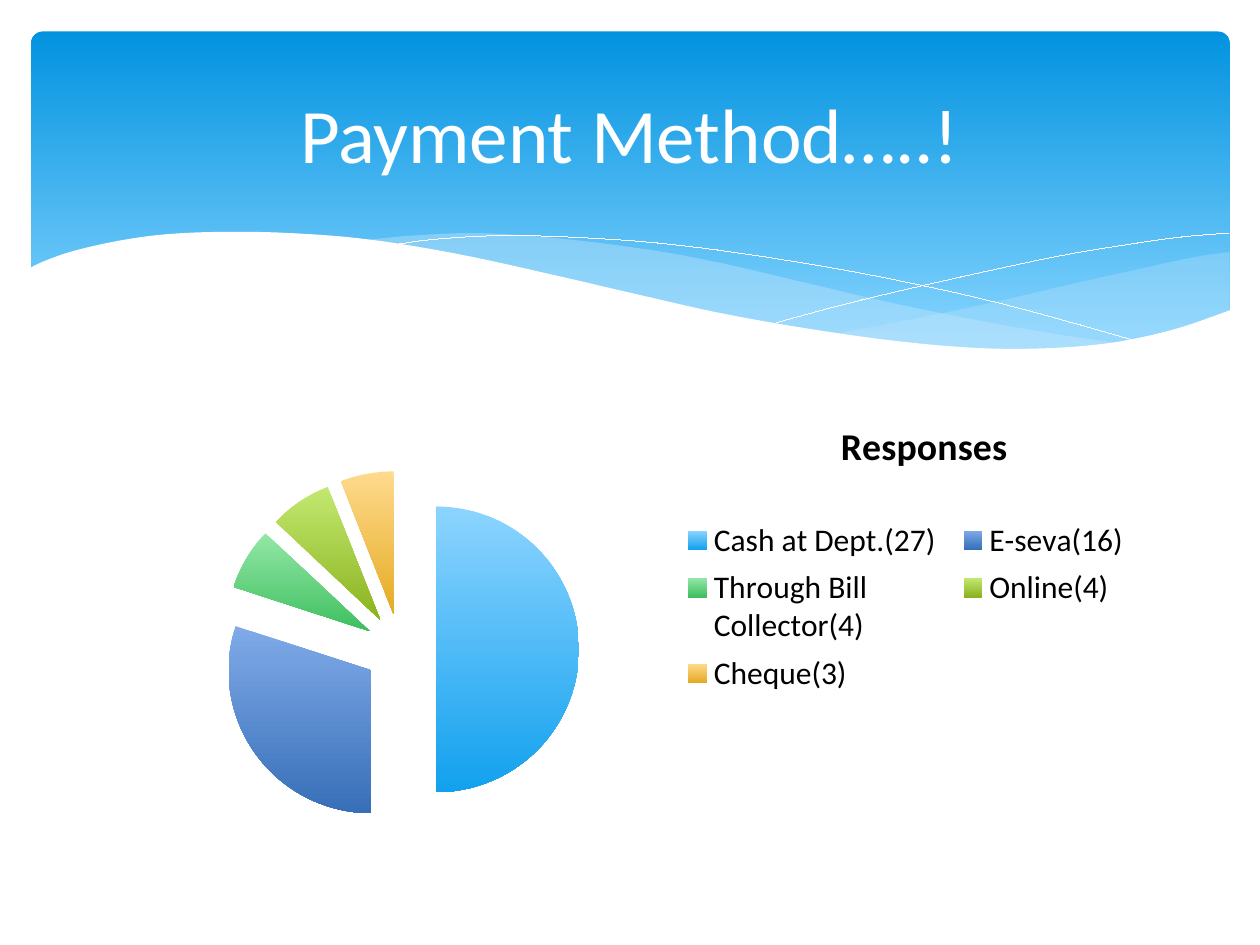
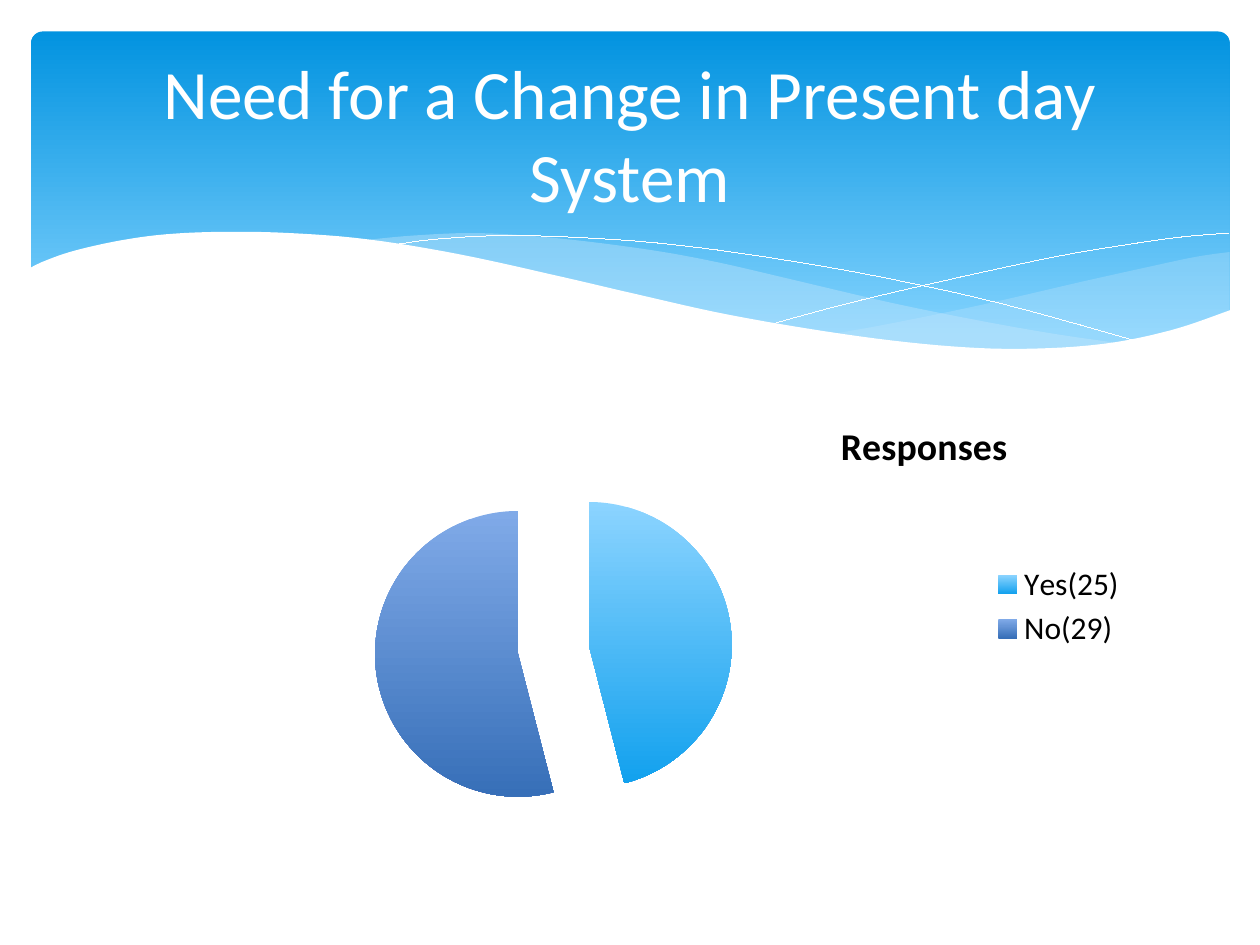
from lxml import etree
from pptx import Presentation
from pptx.chart.data import CategoryChartData
from pptx.dml.color import RGBColor
from pptx.enum.chart import XL_CHART_TYPE, XL_LEGEND_POSITION
from pptx.enum.shapes import MSO_SHAPE
from pptx.enum.text import MSO_ANCHOR, MSO_AUTO_SIZE, PP_ALIGN
from pptx.oxml.ns import qn
from pptx.util import Pt

PIE = XL_CHART_TYPE.PIE
LEGEND_RIGHT = XL_LEGEND_POSITION.RIGHT
ROUNDED = MSO_SHAPE.ROUNDED_RECTANGLE
MIDDLE = MSO_ANCHOR.MIDDLE
NO_AUTOFIT = MSO_AUTO_SIZE.NONE
CENTER = PP_ALIGN.CENTER

FONT = "Calibri"
WHITE = RGBColor(0xFF, 0xFF, 0xFF)
BLACK = RGBColor(0x00, 0x00, 0x00)
BAND_TOP = RGBColor(0x02, 0x93, 0xE0)
BAND_BOTTOM = RGBColor(0x83, 0xD3, 0xFE)
WAVE = RGBColor(0xC6, 0xE7, 0xFC)
SLICES = [
    (RGBColor(0x8C, 0xD4, 0xFF), RGBColor(0x12, 0xA1, 0xEE)),
    (RGBColor(0x80, 0xAA, 0xE8), RGBColor(0x37, 0x6F, 0xB8)),
    (RGBColor(0x93, 0xE7, 0xA6), RGBColor(0x3F, 0xBF, 0x60)),
    (RGBColor(0xC3, 0xE8, 0x71), RGBColor(0x8B, 0xB3, 0x1F)),
    (RGBColor(0xFF, 0xDA, 0x8E), RGBColor(0xE4, 0xAB, 0x22)),
]

RIGHT_WAVE_TOP = [(702.7, 144), (682.6, 146.9), (652.3, 153.4), (619.9, 160.6),
                  (560.9, 174.2), (508.3, 185), (475.9, 190.8)]
RIGHT_WAVE_BOTTOM = [(475.9, 190.8), (507.6, 195.1), (545, 198.7), (578.2, 200.2),
                     (614.9, 198.7), (645.8, 194.4), (673.2, 188.6), (702.7, 177.8)]
LONG_WAVE_TOP = [(643, 196.6), (602.6, 190.8), (558, 182.9), (508.3, 172.8),
                 (452.9, 159.8), (409.7, 149.8), (370.1, 142.6), (318.2, 136.1),
                 (273.6, 133.2), (236.2, 134.6), (205.9, 137.5)]
LONG_WAVE_BOTTOM = [(205.9, 137.5), (246.2, 143.3), (290.9, 151.9), (323.3, 159.8),
                    (381.6, 172.8), (432.7, 183.6), (478.8, 191.5), (519.8, 197.3),
                    (565.2, 200.2), (603.4, 200.2), (643, 196.6)]
FALLING_LINE = [(222.5, 140.4), (247.7, 136.8), (288.7, 134.6), (337.7, 136.1),
                (383.8, 139.7), (437.8, 146.9), (500.4, 157.7), (572.4, 173.5),
                (653, 195.8)]
RISING_LINE = [(441.4, 185), (483.8, 173.5), (538.6, 160.6), (601.9, 146.9),
               (644.4, 139.7), (675.4, 135.4), (702, 133.2)]
BAND_EDGE = [(703.4, 177.1), (669.6, 188.6), (630, 196.6), (582.5, 199.4),
             (535.7, 197.3), (481, 190.8), (416.9, 180), (362.2, 167.8),
             (321.8, 158.4), (262.8, 145.4), (210.2, 136.8), (165.6, 133.2),
             (127.4, 132.5), (95, 133.9), (68.4, 137.5), (42.5, 143.3),
             (25.9, 149), (16.6, 153.4)]
BELOW_BAND = [(16.6, 236.9), (703.4, 236.9)]


def smooth(knots, steps=6):
    padded = [knots[0], *knots, knots[-1]]
    curve = [knots[0]]
    for a, b, c, d in zip(padded, padded[1:], padded[2:], padded[3:]):
        for step in range(1, steps + 1):
            t = step / steps
            curve.append(tuple(
                b[i] + t * (c[i] - a[i]) / 2
                + t**2 * (2 * a[i] - 5 * b[i] + 4 * c[i] - d[i]) / 2
                + t**3 * (3 * b[i] - a[i] - 3 * c[i] + d[i]) / 2
                for i in (0, 1)))
    return curve


def fill_gradient(fill, first, last, end=1.0):
    fill.gradient()
    fill.gradient_angle = 270
    for stop, color, position in zip(fill.gradient_stops, (first, last), (0, end)):
        stop.color.rgb = color
        stop.position = position


def add_outline(page, points, closed):
    corners = [(Pt(x), Pt(y)) for x, y in points]
    builder = page.shapes.build_freeform(*corners[0], scale=1.0)
    builder.add_line_segments(corners[1:], close=closed)
    outline = builder.convert_to_shape()
    outline.shadow.inherit = False
    return outline


def add_wave(page, points, color, opacity=100):
    wave = add_outline(page, points, True)
    wave.fill.solid()
    wave.fill.fore_color.rgb = color
    wave.line.fill.background()
    if opacity < 100:
        tint = wave.element.spPr.find(qn("a:solidFill"))[0]
        etree.SubElement(tint, qn("a:alpha"), val=str(opacity * 1000))


def add_hairline(page, points):
    hairline = add_outline(page, points, False)
    hairline.fill.background()
    hairline.line.color.rgb = WHITE
    hairline.element.spPr.find(qn("a:ln")).set("w", "0")


def add_band(page):
    band = page.shapes.add_shape(ROUNDED, Pt(17.8), Pt(18), Pt(684.9), Pt(194.4))
    band.adjustments[0] = 0.034
    band.shadow.inherit = False
    band.line.fill.background()
    fill_gradient(band.fill, BAND_TOP, BAND_BOTTOM, 0.9)
    add_wave(page, smooth(RIGHT_WAVE_TOP) + smooth(RIGHT_WAVE_BOTTOM), WAVE, 29)
    add_wave(page, smooth(LONG_WAVE_TOP) + smooth(LONG_WAVE_BOTTOM), WAVE, 40)
    add_hairline(page, smooth(FALLING_LINE))
    add_hairline(page, smooth(RISING_LINE))
    add_wave(page, smooth(BAND_EDGE) + BELOW_BAND, WHITE)


def format_font(font, size, color, bold=False):
    font.name = FONT
    font.size = Pt(size)
    font.bold = bold
    font.color.rgb = color


def set_title(page, text, size):
    title = page.shapes.title
    title.left, title.top, title.width, title.height = Pt(36), Pt(26.8), Pt(648), Pt(98.6)
    frame = title.text_frame
    frame.word_wrap = True
    frame.auto_size = NO_AUTOFIT
    frame.vertical_anchor = MIDDLE
    para = frame.paragraphs[0]
    para.alignment = CENTER
    span = para.add_run()
    span.text = text
    format_font(span.font, size, WHITE)
    title.element.getparent().append(title.element)


def place_part(chart, tag, index, **fractions):
    part = chart.element.find(".//" + qn(tag))
    for old in part.findall(qn("c:layout")):
        part.remove(old)
    layout = etree.Element(qn("c:layout"))
    manual = etree.SubElement(layout, qn("c:manualLayout"))
    if tag == "c:plotArea":
        etree.SubElement(manual, qn("c:layoutTarget"), val="inner")
    for mode in ("xMode", "yMode"):
        etree.SubElement(manual, qn("c:" + mode), val="edge")
    for name, fraction in fractions.items():
        etree.SubElement(manual, qn("c:" + name), val=str(fraction))
    part.insert(index, layout)


def add_pie(page, answers, pie_left, legend_area):
    data = CategoryChartData()
    data.categories = list(answers)
    data.add_series("Responses", list(answers.values()))
    chart = page.shapes.add_chart(
        PIE, Pt(68.4), Pt(211), Pt(583.2), Pt(271.4), data).chart
    format_font(chart.font, 18, BLACK)
    chart.has_title = True
    span = chart.chart_title.text_frame.paragraphs[0].add_run()
    span.text = "Responses"
    format_font(span.font, 21.6, BLACK, bold=True)
    chart.has_legend = True
    chart.legend.position = LEGEND_RIGHT
    chart.legend.include_in_layout = False
    format_font(chart.legend.font, 18, BLACK)

    plot = chart.plots[0]
    plot.vary_by_categories = True
    explosion = etree.Element(qn("c:explosion"), val="25")
    chart.element.find(".//" + qn("c:ser")).find(qn("c:tx")).addnext(explosion)
    for number, colors in enumerate(SLICES[:len(answers)]):
        fill_gradient(plot.series[0].points[number].format.fill, *colors)

    place_part(chart, "c:title", 1, x=0.7, y=0.09)
    place_part(chart, "c:plotArea", 0, x=pie_left, y=0.21, w=0.35, h=0.76)
    left, top, width, height = legend_area
    place_part(chart, "c:legend", 1, x=left, y=top, w=width, h=height)


def add_survey_page(deck, title, size, answers, pie_left, legend_area):
    page = deck.slides.add_slide(deck.slide_layouts[5])
    add_band(page)
    add_pie(page, answers, pie_left, legend_area)
    set_title(page, title, size)


def main():
    deck = Presentation()
    deck.slide_width, deck.slide_height = Pt(720), Pt(540)
    payments = {"Cash at Dept.(27)": 50, "E-seva(16)": 30,
                "Through Bill\nCollector(4)": 7, "Online(4)": 7, "Cheque(3)": 6}
    add_survey_page(deck, "Payment Method…..!", 44, payments,
                    0.1, (0.54, 0.3, 0.46, 0.4))
    add_survey_page(deck, "Need for a Change in Present day System", 39.6,
                    {"Yes(25)": 46, "No(29)": 54}, 0.25, (0.85, 0.4, 0.14, 0.2))
    deck.save("out.pptx")


if __name__ == "__main__":
    main()
